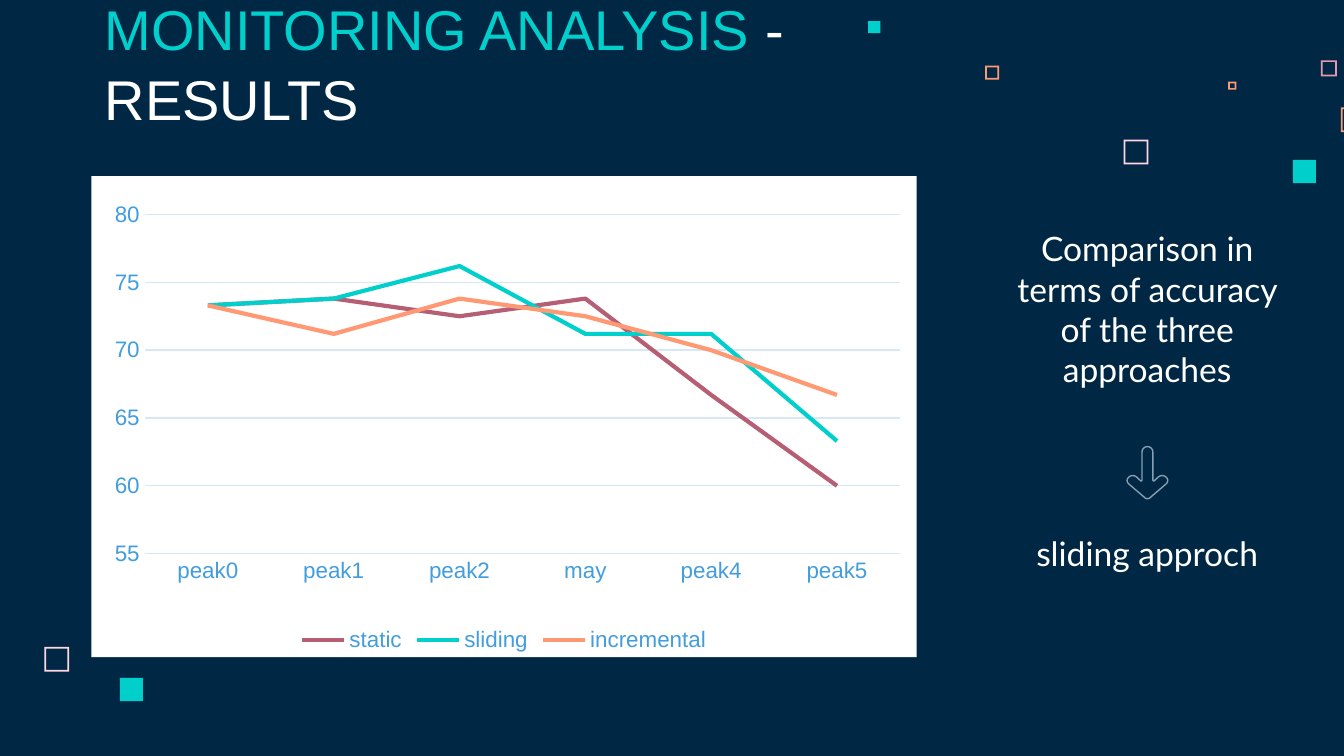
from pptx import Presentation
from pptx.chart.data import CategoryChartData as ChartData
from pptx.dml.color import RGBColor
from pptx.enum.chart import XL_CHART_TYPE as Kind, XL_LEGEND_POSITION as Side, XL_TICK_MARK as Tick
from pptx.enum.shapes import MSO_SHAPE as Shape
from pptx.enum.text import MSO_ANCHOR as Anchor, PP_ALIGN as Align
from pptx.oxml import parse_xml
from pptx.oxml.ns import nsdecls, qn
from pptx.util import Pt

TEAL, PEACH, ROSE, PINK = "00CFCC", "FF9973", "FFD6E1", "E898AC"
WHITE, NAVY, PLUM, BLUE, PALE, GRAY = "FFFFFF", "002845", "B55E74", "439DDD", "D4E8F7", "869FB2"


def tint(code):
    return RGBColor.from_string(code)


def paint(fill, code):
    fill.solid()
    fill.fore_color.rgb = tint(code)


def style(font, size, color, face):
    font.size, font.name = Pt(size), face
    font.color.rgb = tint(color)


def write(frame, runs, size=18, face="Lato", align=Align.CENTER, space=None):
    para = frame.paragraphs[0]
    para.alignment, para.line_spacing = align, space
    for text, color in runs:
        run = para.add_run()
        run.text = text
        style(run.font, size, color, face)


def curve(start, one, two, end, steps=6):
    for i in range(1, steps + 1):
        t = i / steps
        u = 1 - t
        yield tuple(u**3 * a + 3 * u * u * t * b + 3 * u * t * t * c + t**3 * d
                    for a, b, c, d in zip(start, one, two, end))


class Deck:
    face, size = "Arial", 12

    def __init__(self):
        self.prs = Presentation()
        self.prs.slide_width, self.prs.slide_height = Pt(720), Pt(405)
        self.slide = self.prs.slides.add_slide(self.prs.slide_layouts[6])
        self.shapes = self.slide.shapes
        paint(self.slide.background.fill, NAVY)

    def square(self, x, y, side, color, rim=None):
        kind = Shape.FRAME if rim else Shape.RECTANGLE
        box = self.shapes.add_shape(kind, Pt(x), Pt(y), Pt(side), Pt(side))
        if rim:
            box.adjustments[0] = rim / side
        box.shadow.inherit = False
        box.line.fill.background()
        paint(box.fill, color)

    def text(self, x, y, w, h, runs, pad=None, anchor=Anchor.TOP, **form):
        frame = self.shapes.add_textbox(Pt(x), Pt(y), Pt(w), Pt(h)).text_frame
        frame.word_wrap, frame.vertical_anchor = True, anchor
        if pad:
            frame.margin_left = frame.margin_right = Pt(pad)
            frame.margin_top = frame.margin_bottom = Pt(pad)
        write(frame, runs, **form)

    def arrow(self, x, y, color):
        half = [(0, 0), *curve((0, 0), (1.6, 0), (2.9, 1.3), (2.9, 2.9)), (2.9, 17.8),
                *curve((2.9, 17.8), (2.9, 18.4), (3.4, 18.6), (3.8, 18.2)), (5.7, 16.4),
                *curve((5.7, 16.4), (7, 15.2), (8.8, 15.2), (10, 16.4)),
                *curve((10, 16.4), (11.2, 17.4), (11.2, 18.9), (10, 20)), (1.6, 27.2),
                *curve((1.6, 27.2), (1.2, 27.7), (0.6, 27.9), (0, 27.9))]
        ring = half + [(-dx, dy) for dx, dy in reversed(half[1:-1])]
        dots = [(Pt(x + dx), Pt(y + dy)) for dx, dy in ring]
        pen = self.shapes.build_freeform(*dots[0])
        pen.add_line_segments(dots[1:], close=True)
        shape = pen.convert_to_shape()
        shape.shadow.inherit = False
        shape.fill.background()
        shape.line.color.rgb, shape.line.width = tint(color), Pt(0.75)

    def chart(self, x, y, w, h, cats, rows, plot):
        data = ChartData(number_format="General")
        data.categories = cats
        for name, vals, _ in rows:
            data.add_series(name, vals)
        chart = self.shapes.add_chart(Kind.LINE, Pt(x), Pt(y), Pt(w), Pt(h), data).chart
        style(chart.font, 10, "1A5E8F", self.face)
        chart.has_title = False
        chart.has_legend = True
        chart.legend.position, chart.legend.include_in_layout = Side.BOTTOM, False
        style(chart.legend.font, self.size, BLUE, self.face)
        chart.plots[0].vary_by_categories = False
        for line, (_, _, color) in zip(chart.plots[0].series, rows):
            line.smooth = False
            line.format.line.color.rgb, line.format.line.width = tint(color), Pt(2.25)
        cat, val = chart.category_axis, chart.value_axis
        for axis in (cat, val):
            axis.major_tick_mark = axis.minor_tick_mark = Tick.NONE
            style(axis.tick_labels.font, self.size, BLUE, self.face)
        val.minimum_scale, val.maximum_scale, val.major_unit = 55, 80, 5
        val.has_major_gridlines = True
        val.format.line.fill.background()
        for part in (cat, val.major_gridlines):
            part.format.line.color.rgb, part.format.line.width = tint(PALE), Pt(0.75)
        self.frame(chart, plot)

    def frame(self, chart, plot):
        def panel():
            return parse_xml(f'<c:spPr {nsdecls("c", "a")}><a:solidFill><a:srgbClr val="{WHITE}"/>'
                             '</a:solidFill><a:ln><a:noFill/></a:ln></c:spPr>')

        root = chart.element.find(qn("c:chart"))
        area = root.find(qn("c:plotArea"))
        root.addnext(panel())
        area.append(panel())
        for old in area.findall(qn("c:layout")):
            area.remove(old)
        modes = "".join(f'<c:{k}Mode val="edge"/>' for k in "xy")
        sizes = "".join(f'<c:{k} val="{v}"/>' for k, v in zip("xywh", plot))
        area.insert(0, parse_xml(
            f'<c:layout {nsdecls("c")}><c:manualLayout><c:layoutTarget val="inner"/>'
            f'{modes}{sizes}</c:manualLayout></c:layout>'))


def main():
    deck = Deck()
    for x, y, side, color in [(602, 74.9, 13.2, ROSE), (707.6, 32.3, 8.6, PINK),
                              (658, 43.8, 4.3, PEACH), (718.4, 57.6, 13.2, PEACH),
                              (527.8, 35.2, 7.4, PEACH), (23.8, 346.6, 13.2, ROSE)]:
        deck.square(x, y, side, color, rim=0.9)
    for x, y, side in [(692.6, 85.7, 12.4), (465.1, 11.3, 6.5), (64.2, 363.2, 12.4)]:
        deck.square(x, y, side, TEAL)
    deck.text(49, 32.4, 501.8, 45.4, [("MONITORING ANALYSIS ", TEAL), ("- RESULTS", WHITE)],
              pad=7.2, anchor=Anchor.BOTTOM, size=30, face="Arial", align=Align.LEFT, space=1.05)
    for y, h, words in [(118.8, 94.3, "Comparison in terms of accuracy of the three approaches"),
                        (282.2, 28.8, "sliding approch")]:
        deck.text(530, y, 169.2, h, [(words, WHITE)])
    deck.arrow(614.7, 239.3, GRAY)
    deck.chart(49, 94.3, 442, 257.8, ["peak0", "peak1", "peak2", "may", "peak4", "peak5"],
               [("static", [73.3, 73.8, 72.5, 73.8, 66.7, 60], PLUM),
                ("sliding", [73.3, 73.8, 76.2, 71.2, 71.2, 63.3], TEAL),
                ("incremental", [73.3, 71.2, 73.8, 72.5, 70, 66.7], PEACH)],
               (0.065, 0.08, 0.915, 0.705))
    deck.prs.save("out.pptx")


if __name__ == "__main__":
    main()
